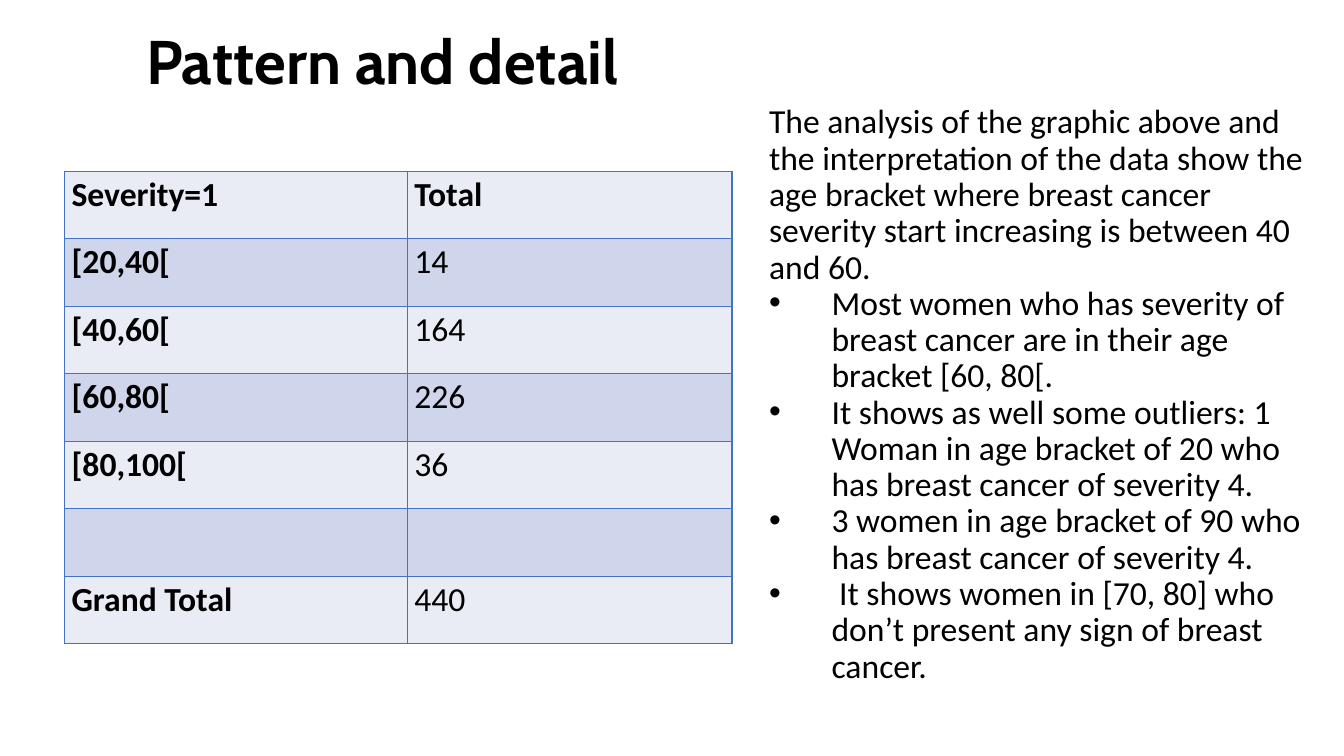
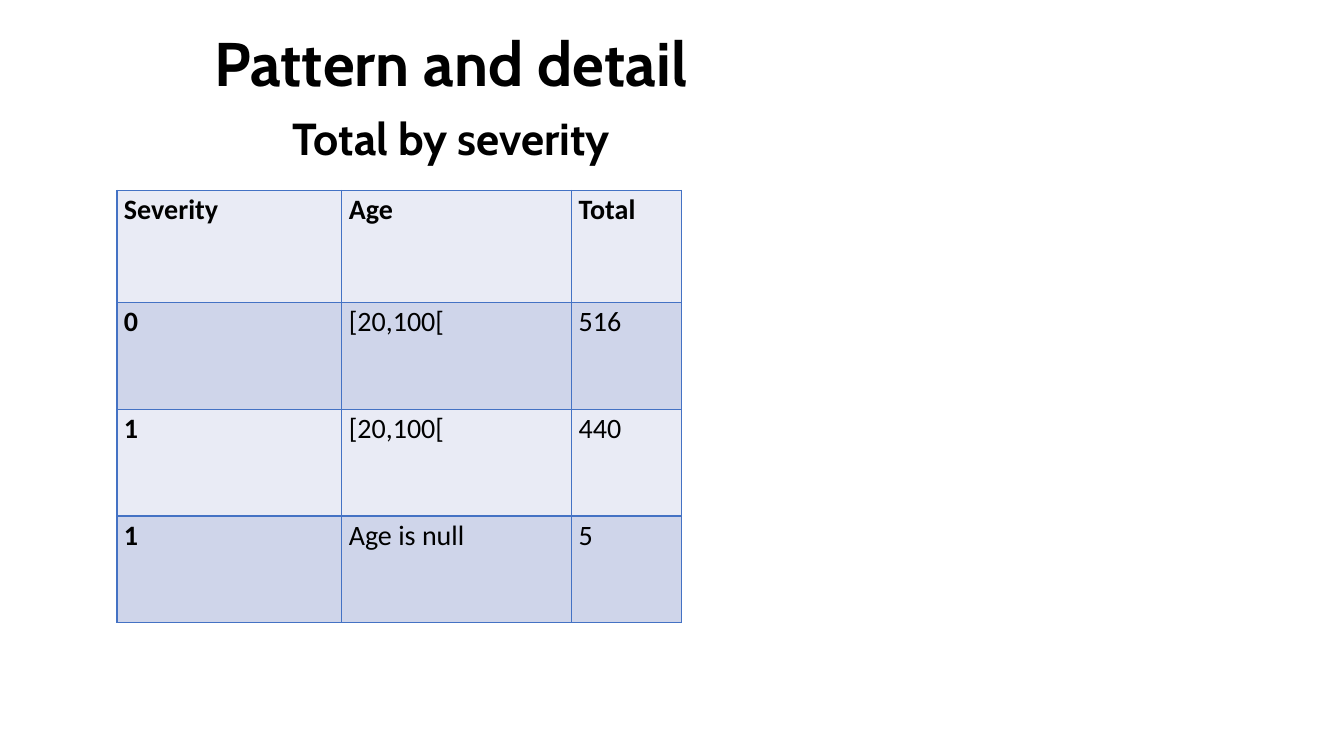
from lxml import etree
from pptx import Presentation
from pptx.dml.color import RGBColor
from pptx.enum.text import MSO_ANCHOR, PP_ALIGN
from pptx.oxml.ns import qn
from pptx.util import Inches, Pt

BLACK = RGBColor(0x00, 0x00, 0x00)
BORDER = RGBColor(0x44, 0x72, 0xC4)
BANDS = (RGBColor(0xE9, 0xEB, 0xF5), RGBColor(0xCF, 0xD5, 0xEA))
TITLE_FONT, BODY_FONT = "Cabin", "Calibri"
TITLE = "Pattern and detail"
TITLE_SIZE = (5.91, 0.98)

AGE_ROWS = [
    ("Severity=1", "Total"),
    ("[20,40[", "14"),
    ("[40,60[", "164"),
    ("[60,80[", "226"),
    ("[80,100[", "36"),
    ("", ""),
    ("Grand Total", "440"),
]
SEVERITY_ROWS = [
    ("Severity", "Age", "Total"),
    ("0", "[20,100[", "516"),
    ("1", "[20,100[", "440"),
    ("1", "Age is null", "5"),
]
ANALYSIS = (
    "The analysis of the graphic above and the interpretation of the data show the age "
    "bracket where breast cancer severity start increasing is between 40 and 60."
)
FINDINGS = [
    "Most women who has severity of breast cancer are in their age bracket [60, 80[.",
    "It shows as well some outliers: 1 Woman in age bracket of 20 who has breast cancer of severity 4.",
    "3 women in age bracket of 90 who has breast cancer of severity 4.",
    " It shows women in [70, 80] who don’t present any sign of breast cancer.",
]


def write(paragraph, text, size=24, font=BODY_FONT, bold=False, align=PP_ALIGN.LEFT,
          line_spacing=0.9, space_after=0, bullet=False):
    """Write formatted text into a paragraph."""
    paragraph.alignment = align
    paragraph.line_spacing = line_spacing
    paragraph.space_after = Pt(space_after)
    run = paragraph.add_run()
    run.text = text
    run.font.size = Pt(size)
    run.font.name = font
    run.font.bold = bold
    run.font.color.rgb = BLACK
    if bullet:
        properties = paragraph._p.get_or_add_pPr()
        properties.set("marL", str(Inches(0.62)))
        properties.set("indent", str(-Inches(0.62)))
        etree.SubElement(properties, qn("a:buFont")).set("typeface", "Arial")
        etree.SubElement(properties, qn("a:buChar")).set("char", "•")


def add_text_frame(slide, left, top, width, height):
    """Add a wrapping, vertically centred text box and return its frame."""
    box = slide.shapes.add_textbox(Inches(left), Inches(top), Inches(width), Inches(height))
    frame = box.text_frame
    frame.word_wrap = True
    frame.vertical_anchor = MSO_ANCHOR.MIDDLE
    return frame


def add_heading(slide, text, left, top, size=44, align=PP_ALIGN.CENTER):
    """Add a heading in the shared title style."""
    frame = add_text_frame(slide, left, top, *TITLE_SIZE)
    write(frame.paragraphs[0], text, size=size, font=TITLE_FONT, bold=True, align=align)


def add_borders(cell):
    """Draw a thin line on every side of a cell."""
    properties = cell._tc.get_or_add_tcPr()
    for side in ("lnL", "lnR", "lnT", "lnB"):
        line = etree.SubElement(properties, qn(f"a:{side}"), w=str(Pt(1)))
        fill = etree.SubElement(line, qn("a:solidFill"))
        etree.SubElement(fill, qn("a:srgbClr"), val=str(BORDER))


def add_banded_table(slide, rows, left, top, widths, heights, size):
    """Add a banded table with a bold first row and first column."""
    table = slide.shapes.add_table(
        len(rows), len(widths), Inches(left), Inches(top),
        Inches(sum(widths)), Inches(sum(heights)),
    ).table
    table.first_row = table.horz_banding = False
    for column, width in zip(table.columns, widths):
        column.width = Inches(width)
    for row_index, (values, height) in enumerate(zip(rows, heights)):
        table.rows[row_index].height = Inches(height)
        for column_index, text in enumerate(values):
            cell = table.cell(row_index, column_index)
            cell.margin_left = cell.margin_right = Inches(0.07)
            cell.margin_top = cell.margin_bottom = 0
            add_borders(cell)
            cell.fill.solid()
            cell.fill.fore_color.rgb = BANDS[row_index % 2]
            if text:
                write(cell.text_frame.paragraphs[0], text, size=size, line_spacing=1.07,
                      bold=row_index == 0 or column_index == 0, space_after=8)


def build_age_slide(slide):
    """Show totals by age bracket beside the findings."""
    add_heading(slide, TITLE, 1.35, 0.15, align=PP_ALIGN.LEFT)
    add_banded_table(slide, AGE_ROWS, 0.64, 1.7, (3.4, 3.22), [0.67] * len(AGE_ROWS), 24)
    frame = add_text_frame(slide, 7.53, 0.77, 5.6, 6.3)
    write(frame.paragraphs[0], ANALYSIS)
    for finding in FINDINGS:
        write(frame.add_paragraph(), finding, bullet=True)


def build_severity_slide(slide):
    """Show totals by severity."""
    add_heading(slide, TITLE, 1.52, 0.17)
    add_banded_table(slide, SEVERITY_ROWS, 1.16, 1.89, (2.23, 2.28, 1.09),
                     (1.11, 1.06, 1.06, 1.06), 20)
    add_heading(slide, "Total by severity", 1.52, 0.91, size=32)


def main():
    """Build and save the presentation."""
    presentation = Presentation()
    presentation.slide_width, presentation.slide_height = Inches(13.33), Inches(7.5)
    for build in (build_age_slide, build_severity_slide):
        build(presentation.slides.add_slide(presentation.slide_layouts[6]))
    presentation.save("out.pptx")


if __name__ == "__main__":
    main()
